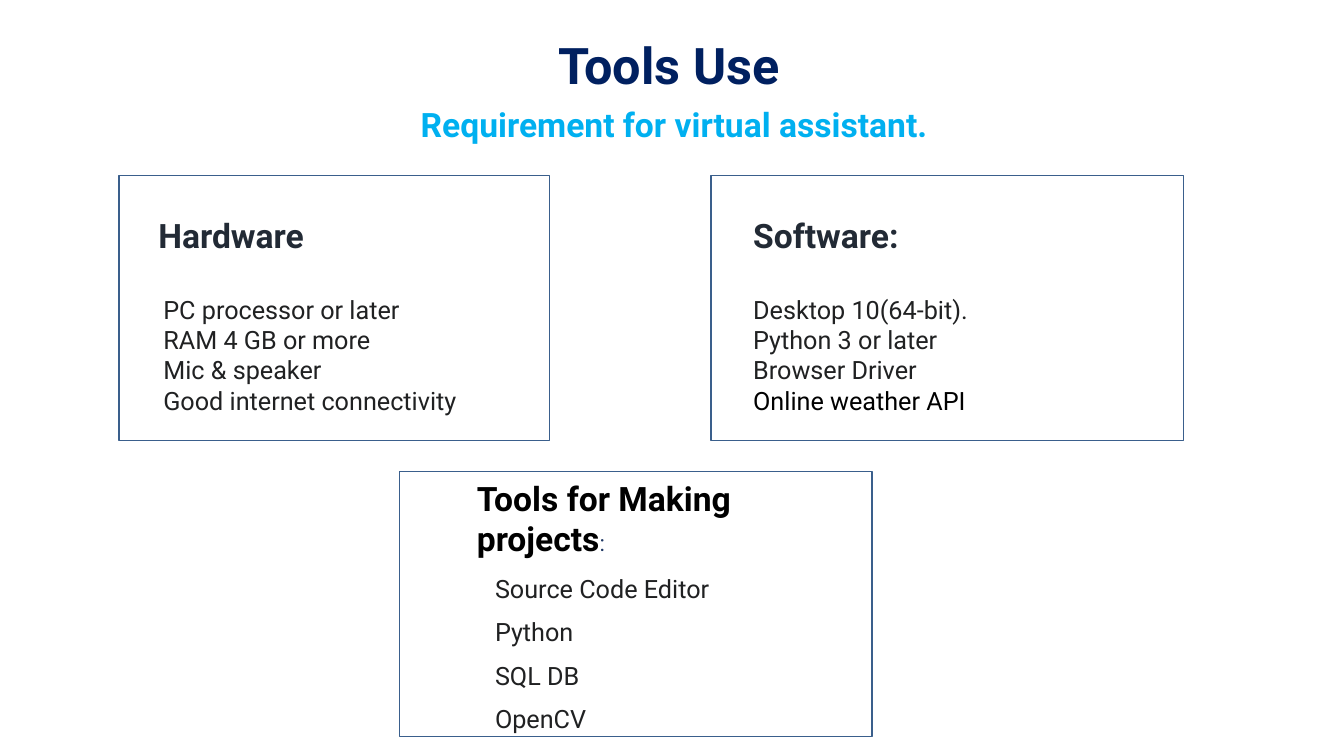
from pptx import Presentation
from pptx import util as u
from pptx.dml import color
from pptx.enum import shapes, text
from pptx.oxml import ns
from lxml import etree

FONT = "Roboto"
NAVY, SKY, SLATE = "002060", "00B0F0", "222A35"
INK, BLACK, EDGE = "202122", "000000", "3A5F8C"


def rgb(code):
    """Turn a hex string into a colour."""
    return color.RGBColor.from_string(code)


def place(shape, left, top, width, height):
    """Move and size a shape, in inches."""
    shape.left, shape.top = u.Inches(left), u.Inches(top)
    shape.width, shape.height = u.Inches(width), u.Inches(height)


def style(run, size, hue, bold=False):
    """Set the font of one run."""
    font = run.font
    font.name, font.size, font.bold = FONT, u.Pt(size), bold
    font.color.rgb = rgb(hue)


def indent(para, left):
    """Drop the bullet and indent the whole paragraph."""
    props = para._p.get_or_add_pPr()
    props.set("marL", str(u.Inches(left)))
    props.set("indent", "0")
    etree.SubElement(props, ns.qn("a:buNone"))


def space(para, after=0, line=1.0):
    """Set the spacing of one paragraph."""
    para.space_before, para.space_after = u.Pt(0), u.Pt(after)
    para.line_spacing = line


def prepare(holder, box, anchor):
    """Place a placeholder and return its text frame."""
    place(holder, *box)
    frame = holder.text_frame
    frame.word_wrap = True
    frame.auto_size = text.MSO_AUTO_SIZE.NONE
    frame.vertical_anchor = anchor
    return frame


def banner(holder, words, box, size, hue):
    """Write one centred bold line."""
    frame = prepare(holder, box, text.MSO_ANCHOR.MIDDLE)
    frame.text = words
    para = frame.paragraphs[0]
    indent(para, 0)
    space(para)
    para.alignment = text.PP_ALIGN.CENTER
    style(para.runs[0], size, hue, True)


def listing(holder, box, head, items, hue, gap, left=0, after=0, line=1.0):
    """Write a bold heading with plain items below it."""
    frame = prepare(holder, box, text.MSO_ANCHOR.TOP)
    frame.text = "\n".join([head, *items])
    first, *rest = frame.paragraphs
    indent(first, 0)
    space(first, gap)
    style(first.runs[0], 24, hue, True)
    for para in rest:
        indent(para, left)
        space(para, after, line)
        style(para.runs[0], 18, INK)
    return frame.paragraphs


def outline(slide, left, top, width):
    """Draw an unfilled frame."""
    rect = slide.shapes.add_shape(
        shapes.MSO_SHAPE.RECTANGLE, u.Inches(left), u.Inches(top),
        u.Inches(width), u.Inches(2.63))
    rect.shadow.inherit = False
    rect.fill.background()
    rect.line.color.rgb = rgb(EDGE)
    rect.line.width = u.Pt(1)


def main():
    """Build the slide and save it."""
    deck = Presentation()
    deck.slide_width, deck.slide_height = u.Inches(13.33), u.Inches(7.5)
    slide = deck.slides.add_slide(deck.slide_layouts.get_by_name("Comparison"))
    title, lead, hard, soft, tools = list(slide.placeholders)[:5]

    banner(title, "Tools Use", (0.54, 0.28, 12.19, 0.72), 36, NAVY)
    banner(lead, "Requirement for virtual assistant.",
           (0.03, 0.98, 13.31, 0.5), 24, SKY)

    listing(hard, (1.47, 2.08, 3.68, 2.12), "Hardware",
            ["PC processor or later", "RAM 4 GB or more", "Mic & speaker",
             "Good internet connectivity"], SLATE, 28, left=0.05)
    lines = listing(soft, (7.37, 2.08, 2.98, 2.12), "Software:",
                    ["Desktop 10(64-bit).", "Python 3 or later",
                     "Browser Driver", "Online weather API"], SLATE, 28)
    style(lines[-1].runs[0], 18, BLACK)
    lines = listing(tools, (4.63, 4.69, 3.76, 2.62),
                    "Tools for Making projects",
                    ["Source Code Editor", "Python", "SQL DB", "OpenCV"],
                    BLACK, 9, left=0.18, after=8, line=1.07)
    colon = lines[0].add_run()
    colon.text = ":"
    style(colon, 16, "1F3864")

    for spot in ((7.05, 1.74, 4.69), (1.18, 1.74, 4.27), (3.96, 4.68, 4.69)):
        outline(slide, *spot)
    deck.save("out.pptx")


main()
